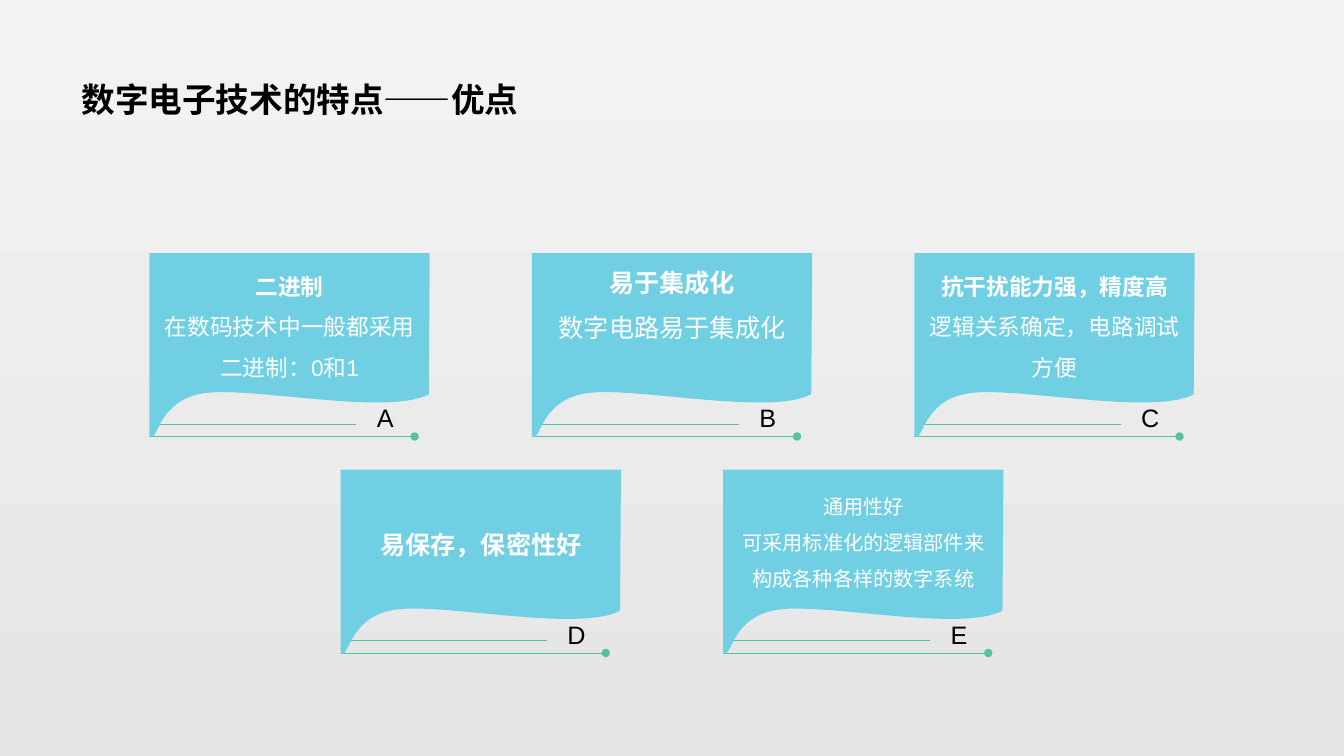
from dataclasses import dataclass

from lxml.etree import SubElement
from pptx import Presentation
from pptx.dml.color import RGBColor as Rgb
from pptx.enum.shapes import MSO_CONNECTOR as Connector
from pptx.enum.text import MSO_ANCHOR as Anchor, PP_ALIGN as Align
from pptx.oxml.ns import qn
from pptx.util import Pt


@dataclass(frozen=True)
class Theme:
    font: str = "Arial"
    sky_top: Rgb = Rgb(0xF2, 0xF2, 0xF2)
    sky_bottom: Rgb = Rgb(0xE7, 0xE6, 0xE6)
    ink: Rgb = Rgb(0, 0, 0)
    banner: Rgb = Rgb(0x70, 0xCF, 0xE2)
    on_banner: Rgb = Rgb(0xFF, 0xFF, 0xFF)
    rule: Rgb = Rgb(0x52, 0xC2, 0xA5)
    title_size: float = 24
    letter_size: float = 18
    rule_width: float = 0.5


THEME = Theme()

TITLE = "数字电子技术的特点——优点"
CARD_WIDTH, CARD_HEIGHT = 200.2, 131.6
COLUMN_STEP, ROW_STEP = 273.2, 154.6
FIRST_LEFT, FIRST_TOP = 106.75, 180.8
BOTTOM_INSET = 39.6

# letter, column, row, heading, detail, text size, bold heading, extra bottom inset
ADVANTAGES = [
    ("A", 0, 0, "二进制", "在数码技术中一般都采用二进制：0和1", 16.2, True, 0),
    ("B", 1, 0, "易于集成化", "数字电路易于集成化", 18, True, 32),
    ("D", 0.5, 1, "易保存，保密性好", "", 18, True, 0),
    ("E", 1.5, 1, "通用性好", "可采用标准化的逻辑部件来构成各种各样的数字系统", 14.4, False, 0),
    ("C", 2, 0, "抗干扰能力强，精度高", "逻辑关系确定，电路调试方便", 16.2, True, 0),
]


def style(paragraph, size, color, bold=False):
    font = paragraph.font
    font.name, font.size, font.bold = THEME.font, Pt(size), bold
    font.color.rgb = color


def add_label(shapes, left, top, width, height, text, size, bold=False):
    label = shapes.add_textbox(Pt(left), Pt(top), Pt(width), Pt(height))
    frame = label.text_frame
    frame.word_wrap, frame.vertical_anchor = True, Anchor.MIDDLE
    paragraph = frame.paragraphs[0]
    paragraph.text = text
    style(paragraph, size, THEME.ink, bold)
    return paragraph


def add_rule(shapes, left, right, y, dotted=False):
    """Horizontal line, with a round end on the right if dotted."""
    rule = shapes.add_connector(Connector.STRAIGHT, Pt(left), Pt(y), Pt(right), Pt(y))
    rule.line.color.rgb = THEME.rule
    rule.line.width = Pt(THEME.rule_width)
    if dotted:
        SubElement(rule.line._get_or_add_ln(), qn("a:tailEnd"), type="oval")
    SubElement(rule._element.spPr, qn("a:effectLst"))


def bend(segment, *controls):
    """Turn a straight outline segment into a cubic curve to the same end."""
    curve = segment.makeelement(qn("a:cubicBezTo"))
    segment.addprevious(curve)
    for x, y in controls:
        SubElement(curve, qn("a:pt"), x=str(Pt(x)), y=str(Pt(y)))
    curve.append(segment[0])
    segment.getparent().remove(segment)


def add_banner(shapes, left, top, width, height):
    """Sheet with a curled lower edge."""
    right_foot, curl, tip = (width - 0.7, 100.8), (38.9, 100.1), (0, height)
    outline = [(width, 0), right_foot, curl, tip]
    builder = shapes.build_freeform(Pt(left), Pt(top))
    builder.add_line_segments([(Pt(left + x), Pt(top + y)) for x, y in outline])
    banner = builder.convert_to_shape()
    _, _, lower_edge, fold, *_ = list(banner._element.iter(qn("a:lnTo")))
    bend(lower_edge, (169.9, 116.6), (72.7, 95))
    bend(fold, (5.8, 105.1), (6.5, 134.6))
    banner.shadow.inherit = False
    banner.fill.solid()
    banner.fill.fore_color.rgb = THEME.banner
    banner.line.fill.background()
    return banner


def write_advantage(banner, heading, detail, size, bold, extra_inset):
    frame = banner.text_frame
    frame.word_wrap, frame.vertical_anchor = True, Anchor.MIDDLE
    frame.margin_left = frame.margin_right = Pt(7.2)
    frame.margin_top, frame.margin_bottom = Pt(3.6), Pt(BOTTOM_INSET + extra_inset)
    frame.text = "\n".join(filter(None, (heading, detail)))
    for index, paragraph in enumerate(frame.paragraphs):
        paragraph.alignment, paragraph.line_spacing = Align.CENTER, 1.5
        style(paragraph, size, THEME.on_banner, bold and index == 0)


def add_card(slide, left, top, letter, *advantage):
    shapes = slide.shapes.add_group_shape().shapes
    add_rule(shapes, left + 6.5, left + 147.6, top + 122.3)
    add_rule(shapes, left, left + 189.4, top + 131, dotted=True)
    banner = add_banner(shapes, left, top, CARD_WIDTH, CARD_HEIGHT)
    write_advantage(banner, *advantage)
    add_label(shapes, left + 150.5, top + 103.3, 36, 28.4, letter,
              THEME.letter_size).alignment = Align.CENTER


def paint_background(slide):
    fill = slide.background.fill
    fill.gradient()
    fill.gradient_angle = 270
    for stop, color in zip(fill.gradient_stops, (THEME.sky_top, THEME.sky_bottom)):
        stop.color.rgb = color


def build_advantages_slide(deck):
    slide = deck.slides.add_slide(deck.slide_layouts[6])
    paint_background(slide)
    title = add_label(slide.shapes, 51.1, 20.2, 828, 104.4, TITLE, THEME.title_size, True)
    title.line_spacing = 0.9
    for letter, column, row, *advantage in ADVANTAGES:
        add_card(slide, FIRST_LEFT + column * COLUMN_STEP, FIRST_TOP + row * ROW_STEP,
                 letter, *advantage)


def main():
    deck = Presentation()
    deck.slide_width, deck.slide_height = Pt(960), Pt(540)
    build_advantages_slide(deck)
    deck.save("out.pptx")


if __name__ == "__main__":
    main()
